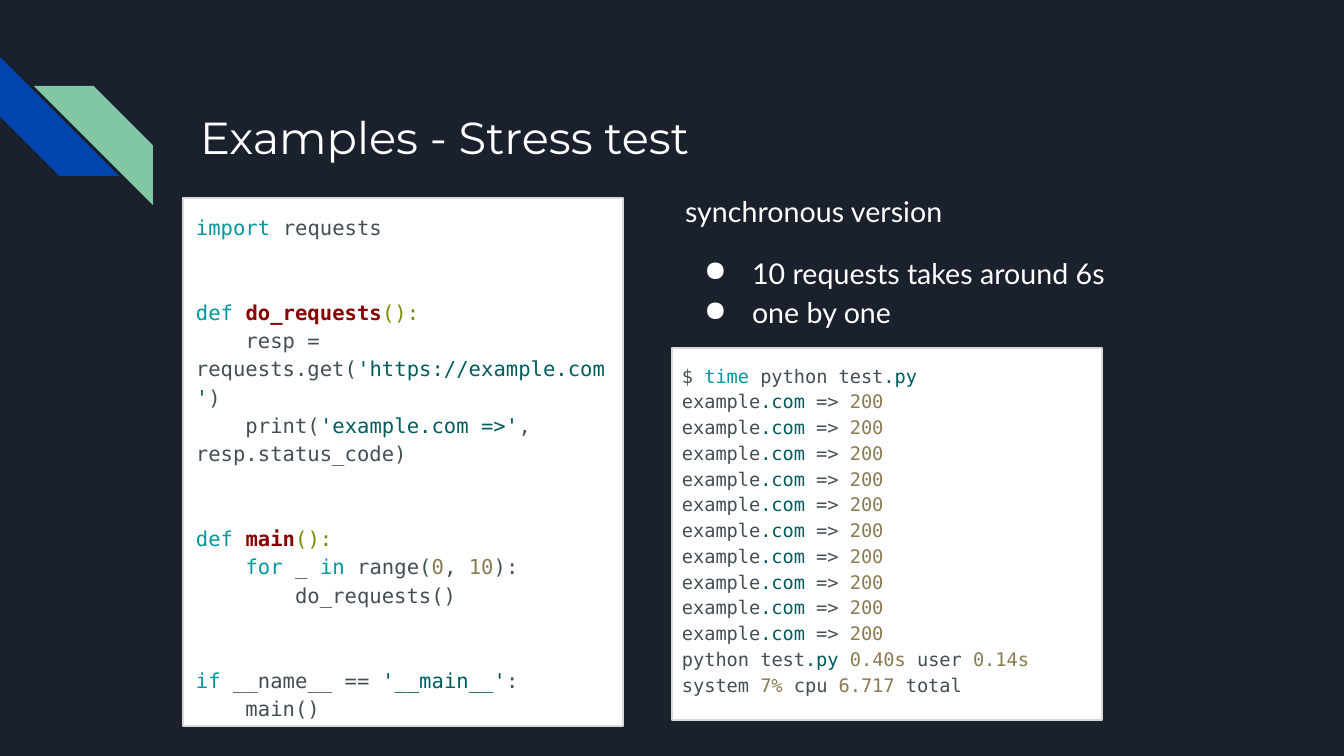
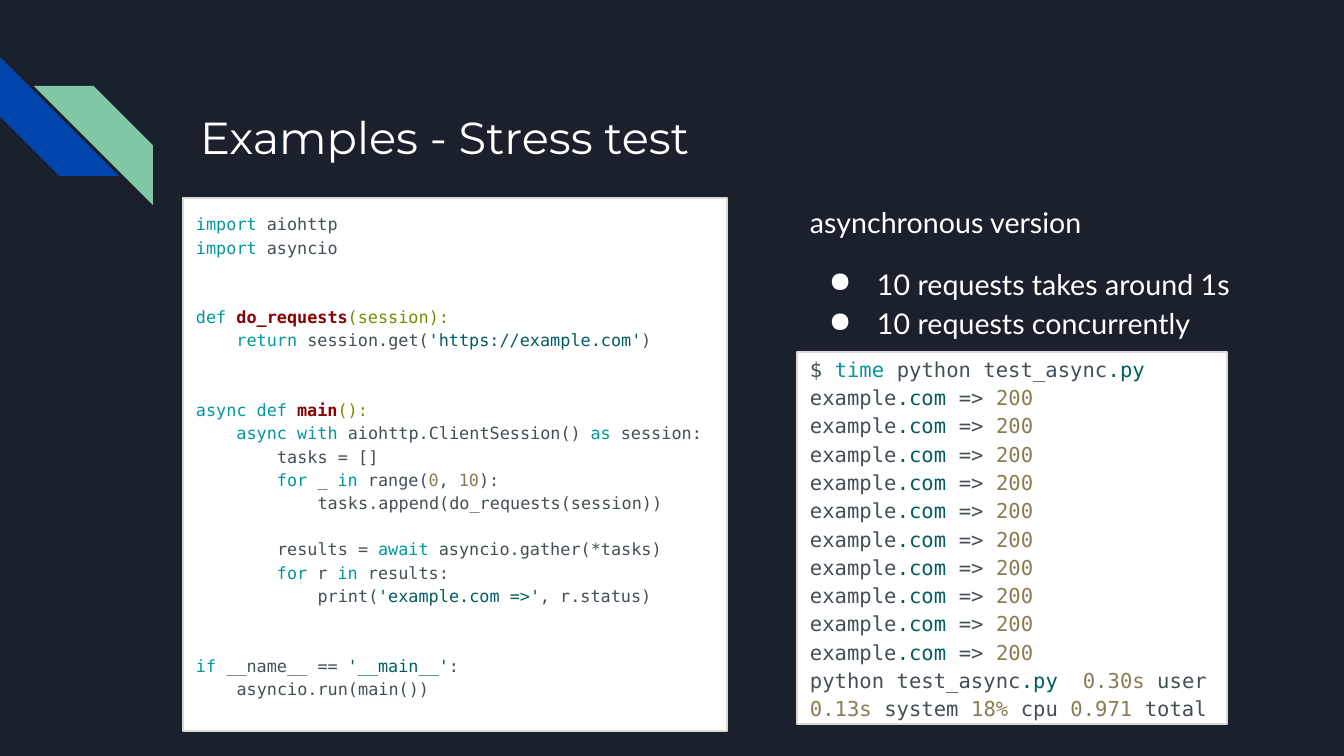
from copy import deepcopy

from lxml.etree import SubElement
from pptx import Presentation
from pptx.dml.color import RGBColor
from pptx.enum.shapes import MSO_SHAPE as SHAPE
from pptx.enum.text import MSO_ANCHOR as ANCHOR, MSO_AUTO_SIZE as AUTO, PP_ALIGN as ALIGN
from pptx.oxml.ns import qn
from pptx.util import Emu, Pt

PX = 914400 / 134.4
NAVY = RGBColor(0x1B, 0x21, 0x2C)
BLUE = RGBColor(0x01, 0x45, 0xAC)
GREEN = RGBColor(0x82, 0xC7, 0xA5)
WHITE = RGBColor(0xFF, 0xFF, 0xFF)
BORDER = RGBColor(0xD9, 0xD9, 0xD9)
CODE = RGBColor(0x43, 0x4F, 0x54)
MONO = "DejaVu Sans Mono"

# Style letters used in marked-up code, as in "|k:import| requests"
SYNTAX = {
    "k": RGBColor(0x00, 0x97, 0x9D),  # keyword
    "f": RGBColor(0x88, 0x00, 0x00),  # function name, bold
    "p": RGBColor(0x72, 0x8E, 0x00),  # parameters
    "s": RGBColor(0x00, 0x5C, 0x5F),  # string or suffix
    "n": RGBColor(0x8A, 0x7B, 0x52),  # number
}

SYNC_CODE = """|k:import| requests


|k:def| |f:do_requests||p:():|
    resp = requests.get(|s:'https://example.com'|)
    print(|s:'example.com =>'|, resp.status_code)


|k:def| |f:main||p:():|
    |k:for| _ |k:in| range(|n:0|, |n:10|):
        do_requests()


|k:if| __name__ == |s:'__main__'|:
    main()"""

ASYNC_CODE = """|k:import| aiohttp
|k:import| asyncio


|k:def| |f:do_requests||p:(session):|
    |k:return| session.get(|s:'https://example.com'|)


|k:async| |k:def| |f:main||p:():|
    |k:async| |k:with| aiohttp.ClientSession() |k:as| session:
        tasks = []
        |k:for| _ |k:in| range(|n:0|, |n:10|):
            tasks.append(do_requests(session))

        results = |k:await| asyncio.gather(*tasks)
        |k:for| r |k:in| results:
            print(|s:'example.com =>'|, r.status)


|k:if| __name__ == |s:'__main__'|:
    asyncio.run(main())"""

RESPONSES = "example|s:.com| => |n:200|\n" * 10
SYNC_OUTPUT = ("$ |k:time| python test|s:.py|\n" + RESPONSES
               + "python test|s:.py| |n:0.40s| user |n:0.14s| system |n:7%| cpu |n:6.717| total")
ASYNC_OUTPUT = ("$ |k:time| python test_async|s:.py|\n" + RESPONSES
                + "python test_async|s:.py|  |n:0.30s| user |n:0.13s| system |n:18%| cpu |n:0.971| total")

SLIDES = [
    dict(heading="synchronous version",
         bullets=["10 requests takes around 6s", "one by one"],
         body=(672, 176, 466, 172),
         panels=[(672, 348, 430, 372), (183, 198, 440, 528)],
         listings=[(SYNC_CODE, 11, (183, 198, 439, 509)),
                   (SYNC_OUTPUT, 10, (669, 348, 434, 362))]),
    dict(heading="asynchronous version",
         bullets=["10 requests takes around 1s", "10 requests concurrently"],
         body=(797, 187, 466, 172),
         panels=[(797, 352, 430, 372), (183, 198, 544, 533)],
         listings=[(ASYNC_CODE, 9, (183, 198, 598, 516)),
                   (ASYNC_OUTPUT, 11, (797, 340, 441, 395))]),
]


def px(*values):
    """Turn pixel lengths into EMU."""
    return [Emu(round(v * PX)) for v in values]


def write(p, text, size, font, color=WHITE, spacing=None, before=0, bullet=None):
    """Fill a paragraph; parts between bars carry a style letter and a colon."""
    p.alignment = ALIGN.LEFT
    p.line_spacing = spacing
    p.space_before = Pt(before)
    if bullet:
        pPr = p._p.get_or_add_pPr()
        left, indent = px(67, -48)
        pPr.set("marL", str(left))
        pPr.set("indent", str(indent))
        clr = SubElement(pPr, qn("a:buClr"))
        SubElement(clr, qn("a:srgbClr")).set("val", str(color))
        SubElement(pPr, qn("a:buChar")).set("char", bullet)
    for i, part in enumerate(text.split("|")):
        style, part = part.split(":", 1) if i % 2 else ("", part)
        for j, line in enumerate(part.split("\n")):
            if j:
                p.add_line_break()
                p._p[-1].insert(0, deepcopy(r._r.rPr))
            if line:
                r = p.add_run()
                r.text = line
                r.font.size = Pt(size)
                r.font.name = font
                r.font.bold = style == "f"
                r.font.color.rgb = SYNTAX.get(style, color)


prs = Presentation()
prs.slide_width, prs.slide_height = px(1344, 756)
layout = prs.slide_layouts[5]
fill = prs.slide_master.background.fill
fill.solid()
fill.fore_color.rgb = NAVY

for n, content in enumerate(SLIDES):
    s = prs.slides.add_slide(layout)

    if n == 0:  # the corner stripes move to the layout, shared by all slides
        for color, box in ((BLUE, (0, 57, 119, 119)), (GREEN, (34, 86, 119, 119))):
            stripe = s.shapes.add_shape(SHAPE.DIAGONAL_STRIPE, *px(*box))
            stripe.shadow.inherit = False
            stripe.fill.solid()
            stripe.fill.fore_color.rgb = color
            stripe.line.fill.background()
            if color == BLUE:
                stripe.rotation = 270
            else:
                stripe._element.spPr.xfrm.set("flipH", "1")
            layout.shapes._spTree.append(stripe._element)

    for box in content["panels"]:
        panel = s.shapes.add_shape(SHAPE.RECTANGLE, *px(*box))
        panel.shadow.inherit = False
        panel.fill.solid()
        panel.fill.fore_color.rgb = WHITE
        panel.line.color.rgb = BORDER
        panel.line.width = Pt(0.75)

    title = s.shapes.title
    title.left, title.top, title.width, title.height = px(187, 97, 1035, 95)
    body = s.shapes.add_textbox(*px(*content["body"]))
    frames = [title.text_frame, body.text_frame]
    for text, size, box in content["listings"]:
        tf = s.shapes.add_textbox(*px(*box)).text_frame
        write(tf.paragraphs[0], text, size, MONO, color=CODE, spacing=1.15)
        frames.append(tf)

    for tf in frames:
        tf.word_wrap = True
        tf.auto_size = AUTO.NONE
        tf.vertical_anchor = ANCHOR.TOP
        tf.margin_left, tf.margin_top, tf.margin_right, tf.margin_bottom = px(*[13] * 4)

    write(title.text_frame.paragraphs[0], "Examples - Stress test", 24, "Montserrat")
    tf = body.text_frame
    write(tf.paragraphs[0], content["heading"], 15.3, "Lato", spacing=1.15)
    for i, text in enumerate(content["bullets"]):
        write(tf.add_paragraph(), text, 15.3, "Lato", spacing=1.15,
              before=0 if i else 12, bullet="●")

prs.save("out.pptx")
